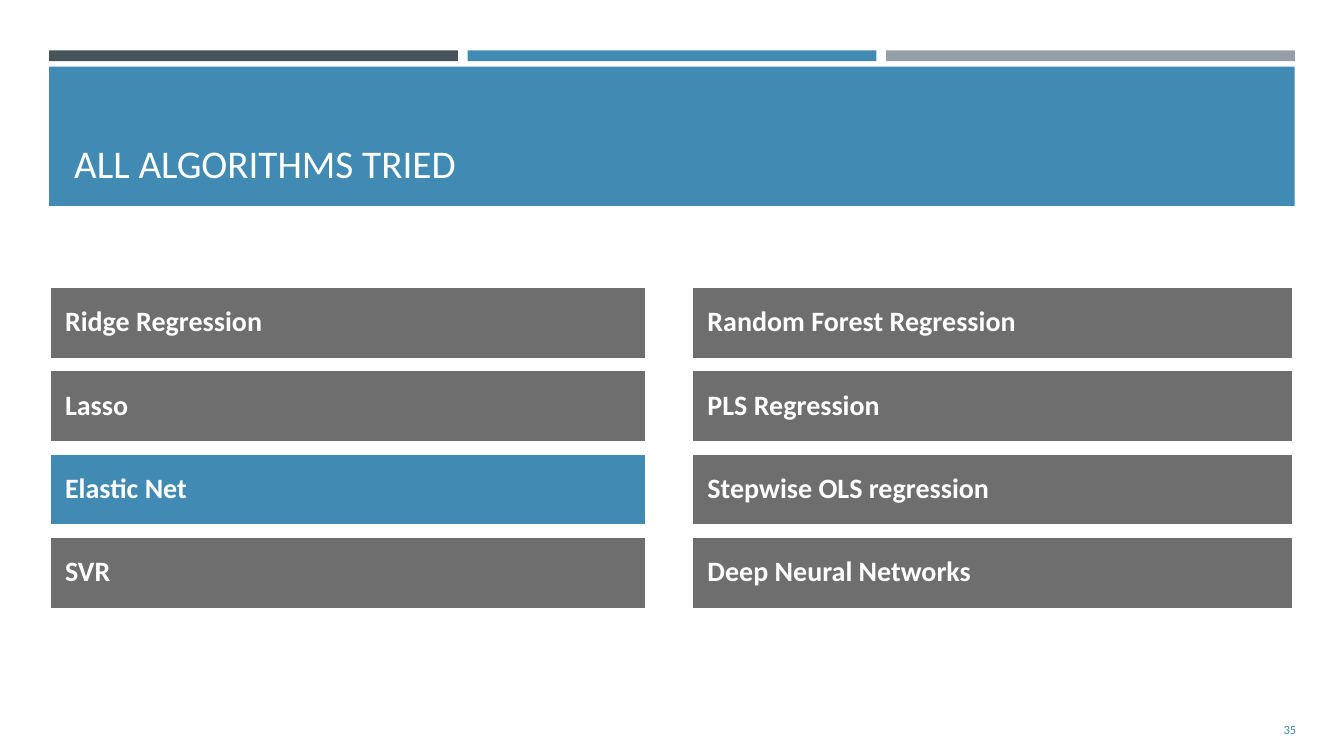
from pptx import Presentation
from pptx import util as u
from pptx.dml.color import RGBColor
from pptx.enum import shapes, text

BLUE, SLATE, SILVER = "418AB3", "465359", "969FA7"
GRAY, WHITE = "6E6E6E", "FFFFFF"
HIGHLIGHTED = "Elastic Net"
LEFT_ALGORITHMS = ["Ridge Regression", "Lasso", HIGHLIGHTED, "SVR"]
RIGHT_ALGORITHMS = ["Random Forest Regression", "PLS Regression",
                    "Stepwise OLS regression", "Deep Neural Networks"]


def color(hex_string):
    return RGBColor.from_string(hex_string)


def add_rectangle(slide, left, top, width, height, fill, outline=None):
    shape = slide.shapes.add_shape(shapes.MSO_SHAPE.RECTANGLE, u.Cm(left), u.Cm(top),
                                   u.Cm(width), u.Cm(height))
    shape.shadow.inherit = False
    shape.fill.solid()
    shape.fill.fore_color.rgb = color(fill)
    if outline:
        shape.line.color.rgb = color(outline)
        shape.line.width = u.Pt(2)
    else:
        shape.line.fill.background()
    return shape


def write(shape, words, size, font_color, bold=False,
          anchor=text.MSO_ANCHOR.MIDDLE, align=text.PP_ALIGN.LEFT):
    """Put one styled run into the shape and return its paragraph."""
    frame = shape.text_frame
    frame.word_wrap = True
    frame.vertical_anchor = anchor
    paragraph = frame.paragraphs[0]
    paragraph.alignment = align
    run = paragraph.add_run()
    run.text = words
    run.font.name = "Calibri"
    run.font.size = u.Pt(size)
    run.font.bold = bold
    run.font.color.rgb = color(font_color)
    return paragraph


def add_text_box(slide, left, top, width, height):
    return slide.shapes.add_textbox(u.Cm(left), u.Cm(top), u.Cm(width), u.Cm(height))


def add_accent_strips(slide, left, top, width, height, gap=0.25):
    fills = [SLATE, BLUE, SILVER]
    strip_width = (width - gap * (len(fills) - 1)) / len(fills)
    for index, fill in enumerate(fills):
        add_rectangle(slide, left + index * (strip_width + gap), top,
                      strip_width, height, fill)


def add_title_banner(slide, left, top, width, height, title):
    add_rectangle(slide, left, top, width, height, BLUE)
    margin_x, margin_y = 0.38, 0.38
    title_box = add_text_box(slide, left + margin_x, top + margin_y,
                             width - 2 * margin_x, height - 2 * margin_y)
    write(title_box, title, 28, WHITE, anchor=text.MSO_ANCHOR.BOTTOM)


def add_algorithm_column(slide, left, top, width, height, algorithms, gap=0.27):
    bar_height = (height - gap * (len(algorithms) - 1)) / len(algorithms)
    for index, algorithm in enumerate(algorithms):
        bar = add_rectangle(slide, left, top + index * (bar_height + gap), width, bar_height,
                            BLUE if algorithm == HIGHLIGHTED else GRAY, outline=WHITE)
        bar.text_frame.margin_left = u.Cm(0.4)
        bar.text_frame.margin_right = u.Cm(0.2)
        bar.text_frame.margin_top = bar.text_frame.margin_bottom = u.Cm(0.2)
        paragraph = write(bar, algorithm, 20, WHITE, bold=True)
        paragraph.line_spacing = 0.9


def add_page_number(slide, left, top, width, height, number):
    box = add_text_box(slide, left, top, width, height)
    write(box, number, 9, BLUE, align=text.PP_ALIGN.RIGHT)


def main():
    presentation = Presentation()
    presentation.slide_width, presentation.slide_height = u.Cm(33.87), u.Cm(19.05)
    slide = presentation.slides.add_slide(presentation.slide_layouts[6])
    add_accent_strips(slide, 1.24, 1.27, 31.39, 0.27)
    add_title_banner(slide, 1.24, 1.68, 31.39, 3.51, "ALL ALGORITHMS TRIED")
    add_algorithm_column(slide, 1.24, 7.22, 15.06, 8.13, LEFT_ALGORITHMS)
    add_algorithm_column(slide, 17.43, 7.22, 15.16, 8.13, RIGHT_ALGORITHMS)
    add_page_number(slide, 30, 17.86, 2.92, 1.02, "35")
    presentation.save("out.pptx")


if __name__ == "__main__":
    main()
